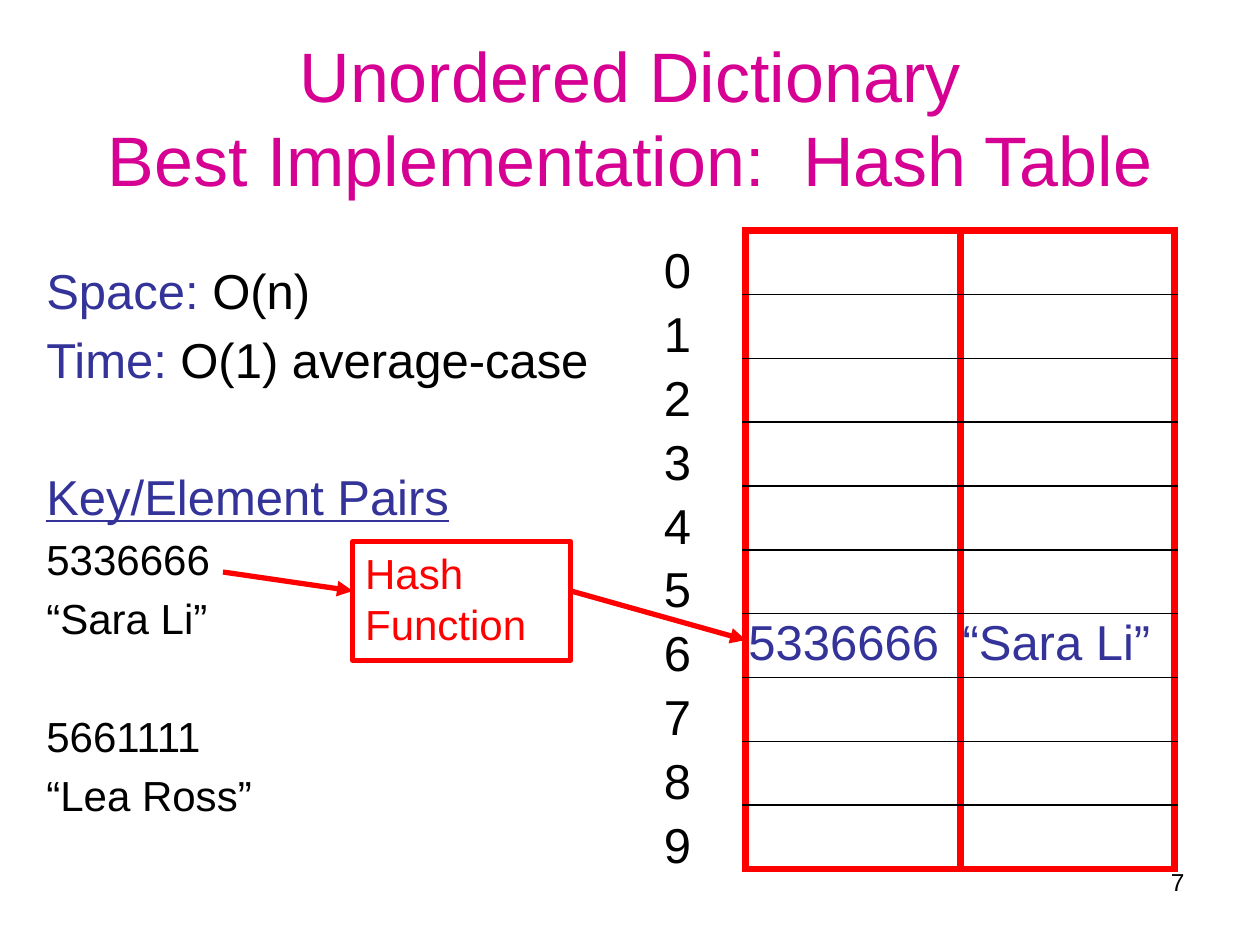
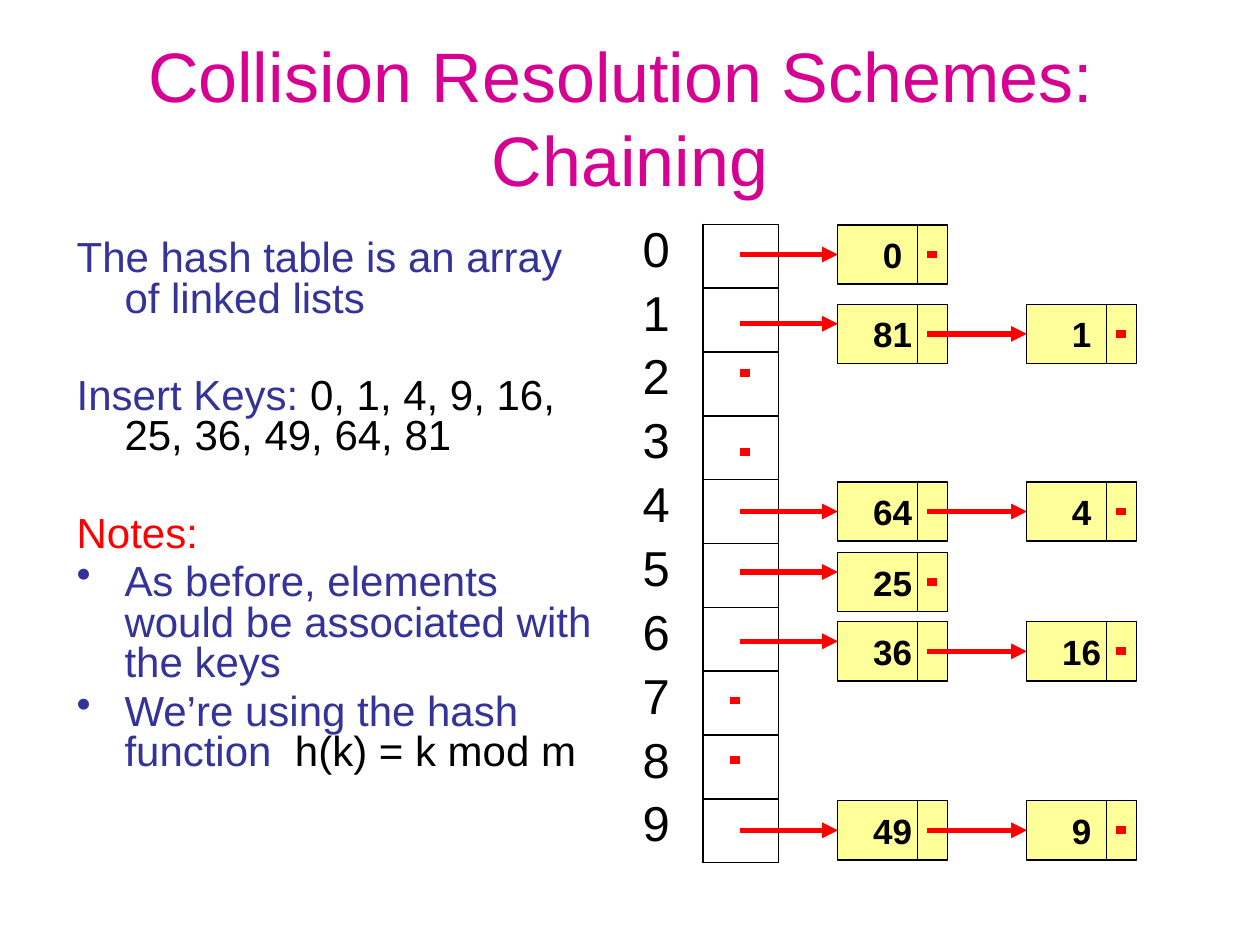
from dataclasses import dataclass

from lxml import etree
from pptx import Presentation
from pptx import util as u
from pptx.dml.color import RGBColor
from pptx.enum import shapes, text
from pptx.oxml import ns


@dataclass(frozen=True)
class Theme:
    font: str = "Arial"
    pink: str = "D60093"
    blue: str = "333399"
    red: str = "FF0000"
    black: str = "000000"
    cream: str = "FFFF99"
    title: int = 40
    large: int = 28
    body: int = 24
    node: int = 20
    small: int = 14
    thick: float = 4.5
    arrow: float = 3
    thin: float = 1
    hair: float = 0.75


T = Theme()
WIDE, HIGH = u.Inches(10), u.Inches(7.5)
UNIT = WIDE / 100  # square grid: 100 columns by 75 rows
SLOTS = 10
TALL = 50.6  # height of every ten-row table
DIGITS = [[str(n)] for n in range(SLOTS)]
BLANK_LINE = 1.2  # height of a skipped line, in type sizes


def grid(*nums):
    return [u.Emu(round(n * UNIT)) for n in nums]


def rgb(color):
    return RGBColor.from_string(color)


def child(parent, tag, **attrs):
    return etree.SubElement(parent, ns.qn(tag), **attrs)


# Text

def style(para, size, color, bold=None):
    font = para.font
    font.name, font.size, font.bold = T.font, u.Pt(size), bold
    font.color.rgb = rgb(color)


def label(slide, box, words, size, color, align, anchor=text.MSO_ANCHOR.TOP):
    frame = slide.shapes.add_textbox(*grid(*box)).text_frame
    frame.word_wrap = True
    frame.vertical_anchor = anchor
    frame.text = words
    for para in frame.paragraphs:
        style(para, size, color)
        para.alignment = align


def title(slide, words):
    label(slide, (5, 3, 90, 12.5), words, T.title, T.pink,
          text.PP_ALIGN.CENTER, text.MSO_ANCHOR.MIDDLE)


def body(slide, box, lines, space=1.0):
    """Each line: its runs as (words, color), then options."""
    frame = slide.shapes.add_textbox(*grid(*box)).text_frame
    frame.word_wrap = True
    for i, (runs, opts) in enumerate(lines):
        para = frame.paragraphs[0] if i == 0 else frame.add_paragraph()
        size = opts.get("size", T.body)
        style(para, size, runs[0][1])
        para.font.underline = opts.get("under")
        para.line_spacing = space
        skip = 0.2 + BLANK_LINE * space + 0.2 if opts.get("gap") else 0.2
        para.space_before = u.Pt(round(size * skip, 1))
        hang = u.Inches(0.38)
        props = para._p.get_or_add_pPr()
        props.set("marL", str(hang))
        props.set("indent", str(-hang))
        if opts.get("dot"):
            mark = etree.Element(ns.qn("a:buChar"), char="•")
            props.insert(list(props).index(props.find(ns.qn("a:defRPr"))), mark)
        for words, color in runs:
            run = para.add_run()
            run.text = words
            if color != runs[0][1]:
                run.font.color.rgb = rgb(color)


# Lines and boxes

def line(slide, start, end, color, width, head=False):
    bar = slide.shapes.add_connector(
        shapes.MSO_CONNECTOR.STRAIGHT, *grid(*start, *end))
    bar.line.color.rgb = rgb(color)
    bar.line.width = u.Pt(width)
    props = bar._element.spPr
    if head:
        child(props.find(ns.qn("a:ln")), "a:tailEnd", type="triangle")
    child(props, "a:effectLst")


def arrow(slide, start, end):
    line(slide, start, end, T.red, T.arrow, head=True)


def dash(slide, x, y):
    line(slide, (x, y), (x + 0.8, y), T.red, T.thick)


def rect(slide, box, words, size, ink, edge, width, fill=None, bold=None):
    shape = slide.shapes.add_shape(shapes.MSO_SHAPE.RECTANGLE, *grid(*box))
    shape.shadow.inherit = False
    if fill:
        shape.fill.solid()
        shape.fill.fore_color.rgb = rgb(fill)
    else:
        shape.fill.background()
    shape.line.color.rgb = rgb(edge)
    shape.line.width = u.Pt(width)
    shape.text_frame.text = words
    style(shape.text_frame.paragraphs[0], size, ink, bold)
    return shape.text_frame


# Tables

def border(cell, edges):
    props = cell._tc.get_or_add_tcPr()
    for side in "LRTB":
        if side in edges:
            color, width = edges[side]
            edge = child(props, "a:ln" + side, w=str(u.Pt(width)))
            child(child(edge, "a:solidFill"), "a:srgbClr", val=color)


def table(slide, place, width, rows, color=T.black, edges=None):
    """Edges: a function from row number to the borders of its cells."""
    cols = len(rows[0])
    tab = slide.shapes.add_table(
        len(rows), cols, *grid(*place, width, TALL)).table
    tab.first_row = tab.horz_banding = False
    plain = tab._tbl.tblPr.find(ns.qn("a:tableStyleId"))
    plain.text = "{2D5ABB26-0587-4C30-8999-92F81FD0307C}"
    for r, row in enumerate(rows):
        for c, words in enumerate(row):
            cell = tab.cell(r, c)
            cell.margin_left = cell.margin_top = cell.margin_bottom = u.Inches(0.02)
            cell.margin_right = u.Inches(0.08)
            cell.text = words
            style(cell.text_frame.paragraphs[0], T.large, color)
            if edges:
                border(cell, edges(r))
            cell.fill.background()


def frame_edges(row):
    red, black = (T.red, T.thick), (T.black, T.thin)
    return {"L": red, "R": red,
            "T": red if row == 0 else black,
            "B": red if row == SLOTS - 1 else black}


def slot_edges(row):
    return dict.fromkeys("LRTB", (T.black, T.thin))


# Linked lists

def node(slide, x, mid, key, last):
    top, high = mid - 2.35, 4.7
    frame = rect(slide, (x, top, 8.7, high), key, T.node, T.black,
                 T.black, T.hair, T.cream, bold=True)
    frame.word_wrap = False
    frame.vertical_anchor = text.MSO_ANCHOR.MIDDLE
    frame.paragraphs[0].alignment = text.PP_ALIGN.CENTER
    line(slide, (x + 6.3, top), (x + 6.3, top + high), T.black, T.hair)
    if last:
        dash(slide, x + 7.1, mid)
    else:
        arrow(slide, (x + 7.1, mid), (x + 15, mid))


def chain(slide, mid, lift, keys):
    first = 66.5
    arrow(slide, (58.7, mid - lift), (first, mid - lift))
    for i, key in enumerate(keys):
        node(slide, first + 15 * i, mid, key, key == keys[-1])


# Slides

def hashing(slide):
    title(slide, "Unordered Dictionary\nBest Implementation:  Hash Table")
    big = {"size": T.large}
    body(slide, (2.7, 20.2, 47.4, 49.5), [
        ([("Space: ", T.blue), ("O(n)", T.black)], big),
        ([("Time: ", T.blue), ("O(1) average-case", T.black)], big),
        ([("Key/Element Pairs", T.blue)], {**big, "gap": True, "under": True}),
        ([("5336666", T.black)], {}),
        ([("“Sara Li”", T.black)], {}),
        ([("5661111", T.black)], {"gap": True}),
        ([("“Lea Ross”", T.black)], {}),
    ])
    pairs = [["", ""] for _ in range(SLOTS)]
    pairs[6] = ["5336666", "“Sara Li”"]
    table(slide, (59.2, 18.3), 34, pairs, T.blue, frame_edges)
    table(slide, (52.5, 19.2), 3.9, DIGITS)

    # Key passes through the hash function to its row
    frame = rect(slide, (28, 43, 17.3, 9.4), "Hash Function", T.body,
                 T.red, T.red, T.arrow)
    frame.word_wrap = True
    frame.vertical_anchor = text.MSO_ANCHOR.TOP
    frame.paragraphs[0].alignment = text.PP_ALIGN.LEFT
    arrow(slide, (17.7, 45.4), (28, 46.9))
    arrow(slide, (45.3, 46.9), (59.2, 50.8))
    label(slide, (71.7, 68.3, 23.3, 5.2), "7", T.small, T.black,
          text.PP_ALIGN.RIGHT)


def chaining(slide):
    title(slide, "Collision Resolution Schemes:  Chaining")
    body(slide, (5.1, 18.6, 44.2, 56.4), [
        ([("The hash table is an array of linked lists", T.blue)], {}),
        ([("Insert Keys: ", T.blue),
          ("0, 1, 4, 9, 16, 25, 36, 49, 64, 81", T.black)], {"gap": True}),
        ([("Notes:", T.red)], {"gap": True}),
        ([("As before, elements would be associated with the keys", T.blue)],
         {"dot": True}),
        ([("We’re using the hash function  ", T.blue),
          ("h(k) = k mod m", T.black)], {"dot": True}),
    ], space=0.8)
    table(slide, (50.8, 17.5), 12.6, DIGITS)
    table(slide, (55.8, 17.8), 6, [[""]] * SLOTS, edges=slot_edges)

    # Empty slots, then the filled ones
    for x, y in [(58.7, 29.6), (58.7, 35.9), (57.9, 55.6), (57.9, 60.3)]:
        dash(slide, x, y)
    for mid, lift, keys in [
        (20.2, 0, ["0"]),
        (26.5, 0.8, ["81", "1"]),
        (40.6, 0, ["64", "4"]),
        (46.2, 0.8, ["25"]),
        (51.7, 0.8, ["36", "16"]),
        (65.9, 0, ["49", "9"]),
    ]:
        chain(slide, mid, lift, keys)


def main():
    deck = Presentation()
    deck.slide_width, deck.slide_height = WIDE, HIGH
    for build in (hashing, chaining):
        build(deck.slides.add_slide(deck.slide_layouts[6]))
    deck.save("out.pptx")


if __name__ == "__main__":
    main()
